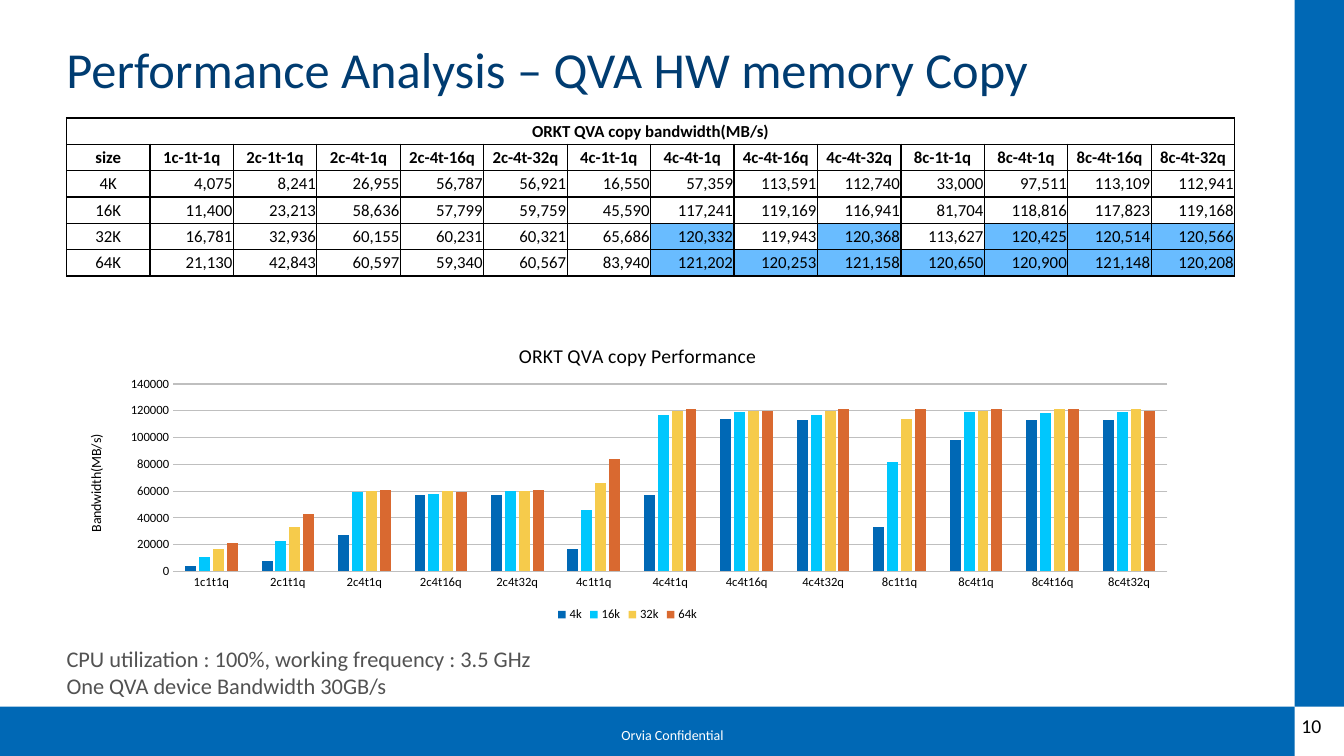
import lxml.etree
import pptx
import pptx.chart.data
import pptx.dml.color
import pptx.enum.chart
import pptx.enum.shapes
import pptx.enum.text
import pptx.oxml.ns
import pptx.util

SCALE = 9144
FONT = "Calibri"
COLORS = {
    "blue": "0068B5", "navy": "003C71", "gray": "525252", "grid": "BFBFBF",
    "black": "000000", "white": "FFFFFF", "peak": "69BCFF",
}
SERIES = ["0068B5", "00C7FD", "F6CB4B", "D96930"]
PEAK = 120000
ALIGN = pptx.enum.text.PP_ALIGN
ANCHOR = pptx.enum.text.MSO_ANCHOR
HEADS = ["1c-1t-1q", "2c-1t-1q", "2c-4t-1q", "2c-4t-16q", "2c-4t-32q",
         "4c-1t-1q", "4c-4t-1q", "4c-4t-16q", "4c-4t-32q",
         "8c-1t-1q", "8c-4t-1q", "8c-4t-16q", "8c-4t-32q"]
SPEEDS = {
    "4K": [4075, 8241, 26955, 56787, 56921, 16550, 57359, 113591, 112740,
           33000, 97511, 113109, 112941],
    "16K": [11400, 23213, 58636, 57799, 59759, 45590, 117241, 119169, 116941,
            81704, 118816, 117823, 119168],
    "32K": [16781, 32936, 60155, 60231, 60321, 65686, 120332, 119943, 120368,
            113627, 120425, 120514, 120566],
    "64K": [21130, 42843, 60597, 59340, 60567, 83940, 121202, 120253, 121158,
            120650, 120900, 121148, 120208],
}


def px(count):
    return pptx.util.Emu(count * SCALE)


def rgb(text):
    return pptx.dml.color.RGBColor.from_string(text)


def put(item, **form):
    for key, value in form.items():
        setattr(item, key, value)


def paint(fill, color):
    fill.solid()
    fill.fore_color.rgb = rgb(color)


def node(base, tag, **attrs):
    return lxml.etree.SubElement(base, pptx.oxml.ns.qn(tag), attrs)


class Deck:
    def __init__(self, wide, high):
        self.show = pptx.Presentation()
        put(self.show, slide_width=px(wide), slide_height=px(high))
        self.slide = self.show.slides.add_slide(self.show.slide_layouts[6])
        self.shapes = self.slide.shapes

    def style(self, font, size, color="black", bold=False):
        put(font, name=FONT, size=pptx.util.Pt(size), bold=bold)
        font.color.rgb = rgb(COLORS[color])

    def bar(self, *box):
        kind = pptx.enum.shapes.MSO_SHAPE.RECTANGLE
        shape = self.shapes.add_shape(kind, *map(px, box))
        shape.shadow.inherit = False
        paint(shape.fill, COLORS["blue"])
        shape.line.fill.background()

    def text(self, box, lines, size, color, pad=(0, 0), **form):
        frame = self.shapes.add_textbox(*map(px, box)).text_frame
        left, top = map(px, pad)
        put(frame, word_wrap=True, margin_left=left, margin_right=left,
            margin_top=top, margin_bottom=top)
        frame.text = "\n".join(lines)
        for para in frame.paragraphs:
            put(para, **form)
            self.style(para.runs[0].font, size, color)

    def cell(self, cell, text, align, bold, back):
        put(cell, margin_left=px(1), margin_right=px(1), margin_top=px(1),
            margin_bottom=0, vertical_anchor=ANCHOR.MIDDLE, text=text)
        para = cell.text_frame.paragraphs[0]
        put(para, alignment=align, line_spacing=0.9)
        self.style(para.font, 12, bold=bold)
        for run in para.runs:
            self.style(run.font, 12, bold=bold)
        props = cell._tc.get_or_add_tcPr()
        for side in "LRTB":
            line = node(props, f"a:ln{side}", w="12700")
            node(node(line, "a:solidFill"), "a:srgbClr", val=COLORS["black"])
        paint(cell.fill, COLORS[back])

    def table(self, box, title, heads, rows):
        size = len(rows) + 2, len(heads) + 1
        grid = self.shapes.add_table(*size, *map(px, box)).table
        put(grid, first_row=False, horz_banding=False)
        top = [[title] + [""] * len(heads), ["size"] + heads]
        for r, line in enumerate(top):
            for c, text in enumerate(line):
                self.cell(grid.cell(r, c), text, ALIGN.CENTER, True, "white")
        grid.cell(0, 0).merge(grid.cell(0, len(heads)))
        for r, (name, speeds) in enumerate(rows.items(), len(top)):
            self.cell(grid.cell(r, 0), name, ALIGN.CENTER, False, "white")
            for c, speed in enumerate(speeds, 1):
                back = "peak" if speed > PEAK else "white"
                self.cell(grid.cell(r, c), f"{speed:,}", ALIGN.RIGHT, False, back)

    def place(self, base, index, **spots):
        for old in base.findall(pptx.oxml.ns.qn("c:layout")):
            base.remove(old)
        layout = node(base, "c:layout")
        base.insert(index, layout)
        form = node(layout, "c:manualLayout")
        if "w" in spots:
            node(form, "c:layoutTarget", val="inner")
        for key in "xy":
            node(form, f"c:{key}Mode", val="edge")
        for key, value in spots.items():
            node(form, f"c:{key}", val=str(value))

    def label(self, title, text, size):
        title.text_frame.text = text
        self.style(title.text_frame.paragraphs[0].runs[0].font, size)

    def chart(self, box, title, unit, heads, rows):
        data = pptx.chart.data.CategoryChartData()
        data.categories = [head.replace("-", "") for head in heads]
        for name, speeds in rows.items():
            data.add_series(name.lower(), [round(speed, -3) for speed in speeds])
        kind = pptx.enum.chart.XL_CHART_TYPE.COLUMN_CLUSTERED
        chart = self.shapes.add_chart(kind, *map(px, box), data).chart
        self.style(chart.font, 10)
        self.label(chart.chart_title, title, 14)
        self.place(chart.chart_title.element, 1, x=0.4, y=0.05)
        area = chart.element.xpath(".//c:plotArea")[0]
        self.place(area, 0, x=0.095, y=0.2, w=0.886, h=0.62)
        put(chart, has_legend=True)
        put(chart.legend, include_in_layout=False,
            position=pptx.enum.chart.XL_LEGEND_POSITION.BOTTOM)
        self.style(chart.legend.font, 9)
        plot = chart.plots[0]
        put(plot, gap_width=219, overlap=-27, vary_by_categories=False)
        for series, color in zip(plot.series, SERIES):
            paint(series.format.fill, color)
        none = pptx.enum.chart.XL_TICK_MARK.NONE
        for axis in (chart.category_axis, chart.value_axis):
            put(axis, major_tick_mark=none, minor_tick_mark=none)
            axis.format.line.fill.background()
            self.style(axis.tick_labels.font, 9)
        axis = chart.value_axis
        put(axis, minimum_scale=0, maximum_scale=140000, major_unit=20000)
        self.label(axis.axis_title, unit, 10)
        line = axis.major_gridlines.format.line
        line.width = pptx.util.Pt(0.75)
        paint(line.fill, COLORS["grid"])


def main():
    deck = Deck(1333, 750)
    deck.bar(0, 701, 1284, 49)
    deck.bar(1284, 0, 49, 701)
    deck.text((602, 718, 130, 25), ["Orvia Confidential"], 10, "white", (10, 5),
              alignment=ALIGN.CENTER, line_spacing=0.9)
    deck.text((66, 45, 1200, 53), ["Performance Analysis – QVA HW memory Copy"],
              36, "navy", line_spacing=0.9)
    deck.text((66, 640, 519, 54),
              ["CPU utilization : 100%, working frequency : 3.5 GHz",
               "One QVA device Bandwidth 30GB/s"], 16, "gray")
    deck.text((1281, 706, 52, 35), ["10"], 14, "black", (10, 5), line_spacing=0.9)
    deck.table((66, 117, 1159, 157), "ORKT QVA copy bandwidth(MB/s)", HEADS, SPEEDS)
    deck.chart((66, 321, 1113, 300), "ORKT QVA copy Performance",
               "Bandwidth(MB/s)", HEADS, SPEEDS)
    deck.show.save("out.pptx")


if __name__ == "__main__":
    main()
